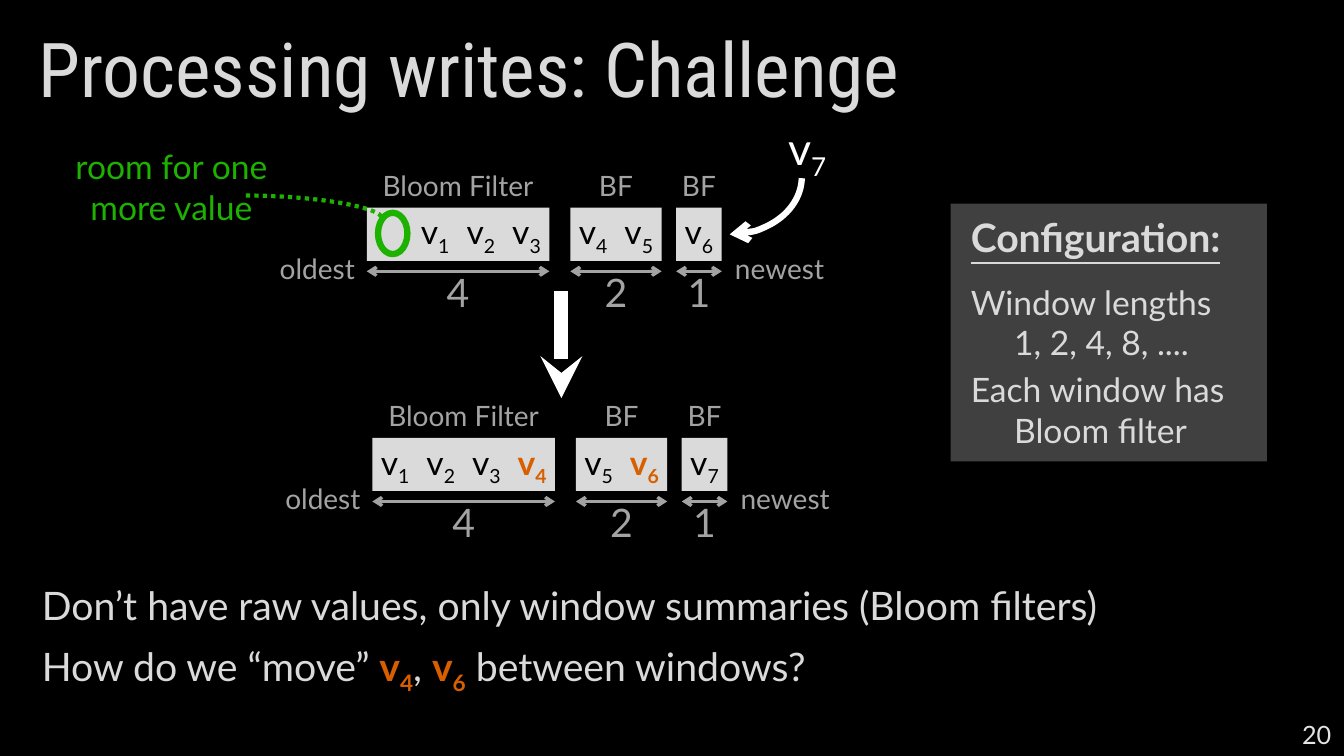
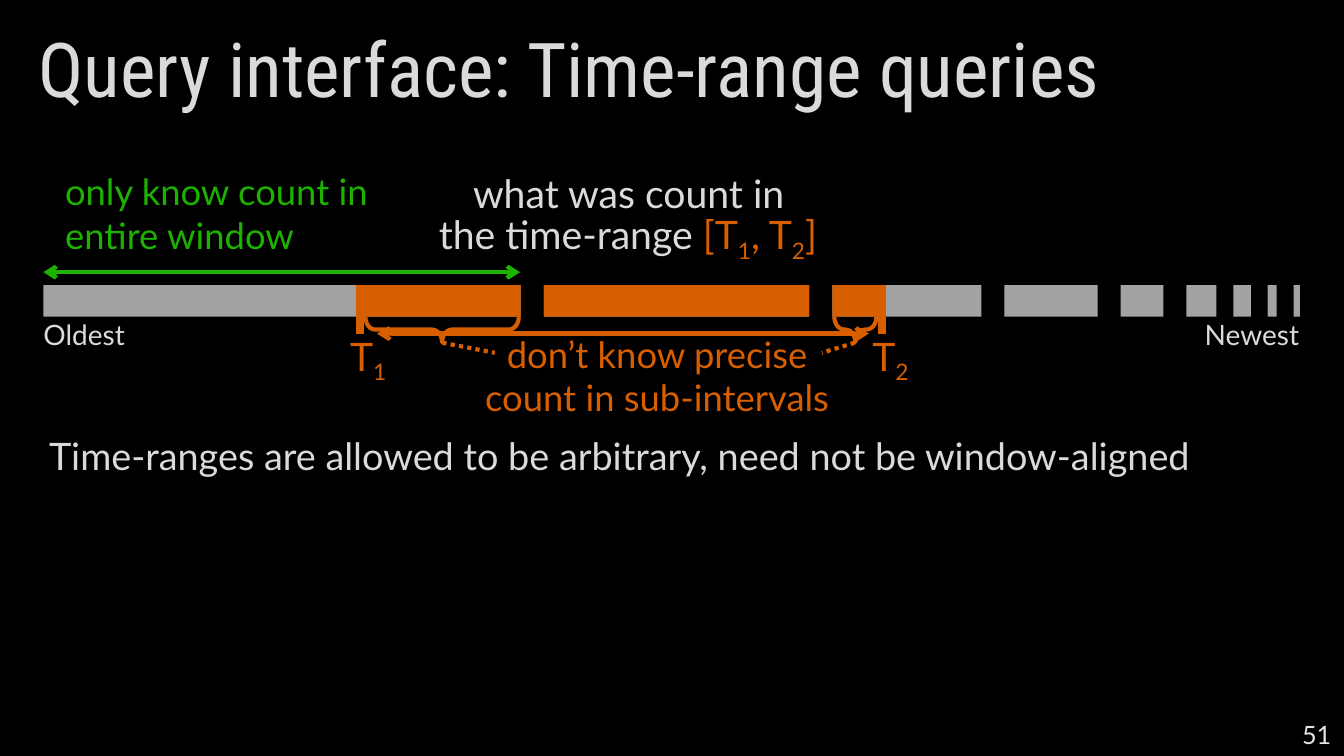
import pptx
import pptx.util
import pptx.dml.color
import pptx.enum.dml
import pptx.enum.shapes
import pptx.enum.text
import pptx.oxml
import pptx.oxml.ns

Pt = pptx.util.Pt
RGBColor = pptx.dml.color.RGBColor
Shape = pptx.enum.shapes.MSO_SHAPE
Connector = pptx.enum.shapes.MSO_CONNECTOR
Align = pptx.enum.text.PP_ALIGN
Anchor = pptx.enum.text.MSO_ANCHOR
qn = pptx.oxml.ns.qn

BLACK = RGBColor(0x00, 0x00, 0x00)
WHITE = RGBColor(0xFF, 0xFF, 0xFF)
LIGHT = RGBColor(0xDA, 0xDA, 0xDA)
NUMBER = RGBColor(0xE4, 0xE4, 0xE4)
GREY = RGBColor(0xA3, 0xA3, 0xA3)
PANEL = RGBColor(0x40, 0x40, 0x40)
GREEN = RGBColor(0x1D, 0xB1, 0x00)
ORANGE = RGBColor(0xD7, 0x5F, 0x00)
BODY_FONT = "Lato"
TITLE_FONT = "Roboto Condensed"

MOVED_4 = ("v_4", ORANGE, True)
MOVED_6 = ("v_6", ORANGE, True)

WRITES_BODY = [
    "Don’t have raw values, only window summaries (Bloom filters)",
    ["How do we “move” ", MOVED_4, ", ", MOVED_6, " between windows?"],
]
FILTERS = [("Bloom Filter", 0), ("BF", 145.4), ("BF", 221)]
FILTER_ROWS = [
    (262, 148.3, [["", "v_1", "v_2", "v_3"], ["v_4", "v_5"], ["v_6"]]),
    (266, 312.7, [["v_1", "v_2", "v_3", MOVED_4], ["v_5", MOVED_6], ["v_7"]]),
]
CELL_WIDTH, CELL_HEIGHT = 32.6, 38
CONFIGURATION = [
    ("Window lengths", 15, 0),
    ("1, 2, 4, 8, ....", 0, 31),
    ("Each window has", 5, 0),
    ("Bloom filter", 0, 31),
]

WINDOW_WIDTHS = [341, 189.5, 106.5, 66.5, 30.5, 21.5, 12.5, 6.5, 4.5]
TIMELINE_LEFT, TIMELINE_TOP, TIMELINE_HEIGHT = 31, 203.7, 22.5
QUERY = [("T_1", 257), ("T_2", 630)]
UNKNOWN_SPANS = [(261, 370.5), (596, 626)]
POINTERS = [(316, 353.5), (610.5, 587)]


def add_runs(paragraph, content):
    for part in content if isinstance(content, list) else [content]:
        words, color, bold = part if isinstance(part, tuple) else (part, None, None)
        base, *subscripted = words.split("_")
        pieces = [(base, False)]
        for tail in subscripted:
            pieces += [(tail[0], True), (tail[1:], False)]
        for piece, lowered in pieces:
            if not piece:
                continue
            run = paragraph.add_run()
            run.text = piece
            if color is not None:
                run.font.color.rgb = color
                run.font.bold = bold
            if lowered:
                run._r.get_or_add_rPr().set("baseline", "-25000")


def set_font(paragraph, size, color, name=BODY_FONT):
    paragraph.font.name = name
    paragraph.font.size = Pt(size)
    paragraph.font.color.rgb = color


def add_text(slide, box, paragraphs, size, color, align=Align.LEFT,
             anchor=Anchor.TOP, font=BODY_FONT, space=0):
    frame = slide.shapes.add_textbox(*map(Pt, box)).text_frame
    frame.margin_left = frame.margin_right = frame.margin_top = frame.margin_bottom = 0
    frame.word_wrap = False
    frame.vertical_anchor = anchor
    for index, content in enumerate(paragraphs):
        paragraph = frame.add_paragraph() if index else frame.paragraphs[0]
        paragraph.alignment = align
        if index and space:
            paragraph.space_before = Pt(space)
        set_font(paragraph, size, color, font)
        add_runs(paragraph, content)
    return frame


def set_line(item, color, width, head=None, tail=None, dotted=False):
    item.line.color.rgb = color
    item.line.width = Pt(width)
    if dotted:
        item.line.dash_style = pptx.enum.dml.MSO_LINE.ROUND_DOT
    outline = item._element.spPr.find(qn("a:ln"))
    for tag, kind in (("a:headEnd", head), ("a:tailEnd", tail)):
        if kind:
            end = pptx.oxml.parse_xml(f"<{tag} {pptx.oxml.ns.nsdecls('a')}/>")
            end.set("type", kind)
            outline.append(end)


def add_line(slide, start, end, color, width, kind=Connector.STRAIGHT, **style):
    line = slide.shapes.add_connector(kind, *map(Pt, start + end))
    set_line(line, color, width, **style)
    line._element.spPr.append(
        pptx.oxml.parse_xml(f"<a:effectLst {pptx.oxml.ns.nsdecls('a')}/>"))
    return line


def add_filled(slide, box, color):
    block = slide.shapes.add_shape(Shape.RECTANGLE, *map(Pt, box))
    block.shadow.inherit = False
    block.fill.solid()
    block.fill.fore_color.rgb = color
    block.line.fill.background()
    return block


def add_outline(slide, preset, box, color, width, rotation=0, adjust=None, tail=None):
    outline = slide.shapes.add_shape(preset, *map(Pt, box))
    outline.shadow.inherit = False
    outline.fill.background()
    outline.rotation = rotation
    for index, value in enumerate(adjust or []):
        outline.adjustments[index] = value
    set_line(outline, color, width, tail=tail)


def start_slide(deck, title, number):
    slide = deck.slides.add_slide(deck.slide_layouts[6])
    slide.background.fill.solid()
    slide.background.fill.fore_color.rgb = BLACK
    heading = add_text(slide, (27.5, 0, 907, 104.4), [title], 54, LIGHT,
                       anchor=Anchor.MIDDLE, font=TITLE_FONT)
    heading.paragraphs[0].line_spacing = 0.9
    add_text(slide, (735, 510, 216, 29), [str(number)], 18, NUMBER,
             Align.RIGHT, Anchor.MIDDLE)
    return slide


def add_filter_row(slide, left, top, windows):
    for (label, offset), values in zip(FILTERS, windows):
        x, width = left + offset, CELL_WIDTH * len(values)
        add_filled(slide, (x, top, width, CELL_HEIGHT), LIGHT)
        for index, value in enumerate(values):
            if value:
                add_text(slide, (x + index * CELL_WIDTH, top, CELL_WIDTH, CELL_HEIGHT),
                         [[value]], 24, BLACK, Align.CENTER, Anchor.MIDDLE)
        add_text(slide, (x, top - 28, width, 24), [label], 20, GREY, Align.CENTER)
        add_line(slide, (x, top + 45.5), (x + width, top + 45.5), GREY, 2.25,
                 head="arrow", tail="arrow")
        add_text(slide, (x, top + 39.6, width, 41), [str(len(values))], 28, GREY,
                 Align.CENTER, Anchor.MIDDLE)
    add_text(slide, (left - 68.5, top + 31, 60, 24), ["oldest"], 20, GREY, Align.RIGHT)
    add_text(slide, (left + 263, top + 31, 66, 24), ["newest"], 20, GREY)


def add_configuration(slide):
    panel = add_filled(slide, (679, 145.4, 226, 184.3), PANEL)
    frame = panel.text_frame
    frame.margin_left = frame.margin_right = Pt(14.4)
    frame.margin_top = frame.margin_bottom = Pt(7.2)
    frame.vertical_anchor = Anchor.TOP
    frame.word_wrap = False
    heading = frame.paragraphs[0]
    heading.alignment = Align.LEFT
    set_font(heading, 28, LIGHT)
    heading.font.bold = heading.font.underline = True
    add_runs(heading, "Configuration:")
    for words, space, indent in CONFIGURATION:
        paragraph = frame.add_paragraph()
        paragraph.alignment = Align.LEFT
        paragraph.space_before = Pt(space)
        paragraph._p.get_or_add_pPr().set("marL", str(Pt(indent)))
        set_font(paragraph, 24, LIGHT)
        add_runs(paragraph, words)


def build_writes(deck):
    slide = start_slide(deck, "Processing writes: Challenge", 20)
    add_text(slide, (30, 415.4, 900, 88), WRITES_BODY, 28, LIGHT, space=10)
    for left, top, windows in FILTER_ROWS:
        add_filter_row(slide, left, top, windows)
    add_line(slide, (401, 208), (401, 284.4), WHITE, 10, tail="stealth")
    add_configuration(slide)
    add_text(slide, (52.4, 104.4, 140, 58), ["room for one", "more value"], 24, GREEN,
             Align.CENTER)
    add_outline(slide, Shape.OVAL, (270, 152, 21, 29.5), GREEN, 4.5)
    pointer = add_line(slide, (175.7, 139.7), (273, 156.2), GREEN, 3, Connector.CURVE,
                       dotted=True)
    pointer._element.spPr.find(qn("a:prstGeom")).set("prst", "curvedConnector2")
    add_text(slide, (555, 86.4, 43, 39), ["v_7"], 32, WHITE, Align.CENTER)
    add_outline(slide, Shape.ARC, (480.2, 74.9, 82, 103), WHITE, 4.5, 90,
                [162.59, 0], tail="arrow")


def build_queries(deck):
    slide = start_slide(deck, "Query interface: Time-range queries", 51)
    (_, query_start), (_, query_end) = QUERY
    left = TIMELINE_LEFT
    for width in WINDOW_WIDTHS:
        right = left + width
        add_filled(slide, (left, TIMELINE_TOP, width, TIMELINE_HEIGHT), GREY)
        first, last = max(left, query_start), min(right, query_end)
        if first < last:
            add_filled(slide, (first, TIMELINE_TOP, last - first, TIMELINE_HEIGHT), ORANGE)
        left = right + (16.5 if width > 30 else 12)

    for label, x in QUERY:
        add_line(slide, (x, TIMELINE_TOP), (x, 238.3), ORANGE, 6)
        add_text(slide, (x - 14, 237, 40, 34), [label], 28, ORANGE, Align.CENTER)
    for start, end in UNKNOWN_SPANS:
        length = end - start
        add_outline(slide, Shape.LEFT_BRACE,
                    ((start + end) / 2 - 9, 235.4 - length / 2, 18, length),
                    ORANGE, 3, 270, [0.39, 0.5])
    for brace_x, words_x in POINTERS:
        add_line(slide, (brace_x, 244.8), (words_x, 252), ORANGE, 3, dotted=True)
    for start, end, y, color in ((31, 371.5, 194.4, GREEN), (269.3, 620.6, 238.3, ORANGE)):
        add_line(slide, (start, y), (end, y), color, 3, head="arrow", tail="arrow")

    add_text(slide, (46.5, 121, 232, 63), ["only know count in", "entire window"], 26, GREEN)
    add_text(slide, (329, 237, 281, 63), ["don’t know precise", "count in sub-intervals"],
             26, ORANGE, Align.CENTER)
    add_text(slide, (322.5, 121, 253, 34), ["what was count in"], 28, LIGHT, Align.CENTER)
    add_text(slide, (297.5, 148, 302, 40.6),
             [["the time-range ", ("[T_1, T_2]", ORANGE, False)]], 28, LIGHT,
             Align.CENTER, Anchor.BOTTOM)
    add_text(slide, (31, 226.8, 70, 24), ["Oldest"], 20, LIGHT)
    add_text(slide, (848, 226.8, 80, 24), ["Newest"], 20, LIGHT, Align.RIGHT)
    add_text(slide, (35, 309, 890, 34),
             ["Time-ranges are allowed to be arbitrary, need not be window-aligned"], 27, LIGHT)


def main():
    deck = pptx.Presentation()
    deck.slide_width, deck.slide_height = Pt(960), Pt(540)
    build_writes(deck)
    build_queries(deck)
    deck.save("out.pptx")


if __name__ == "__main__":
    main()
